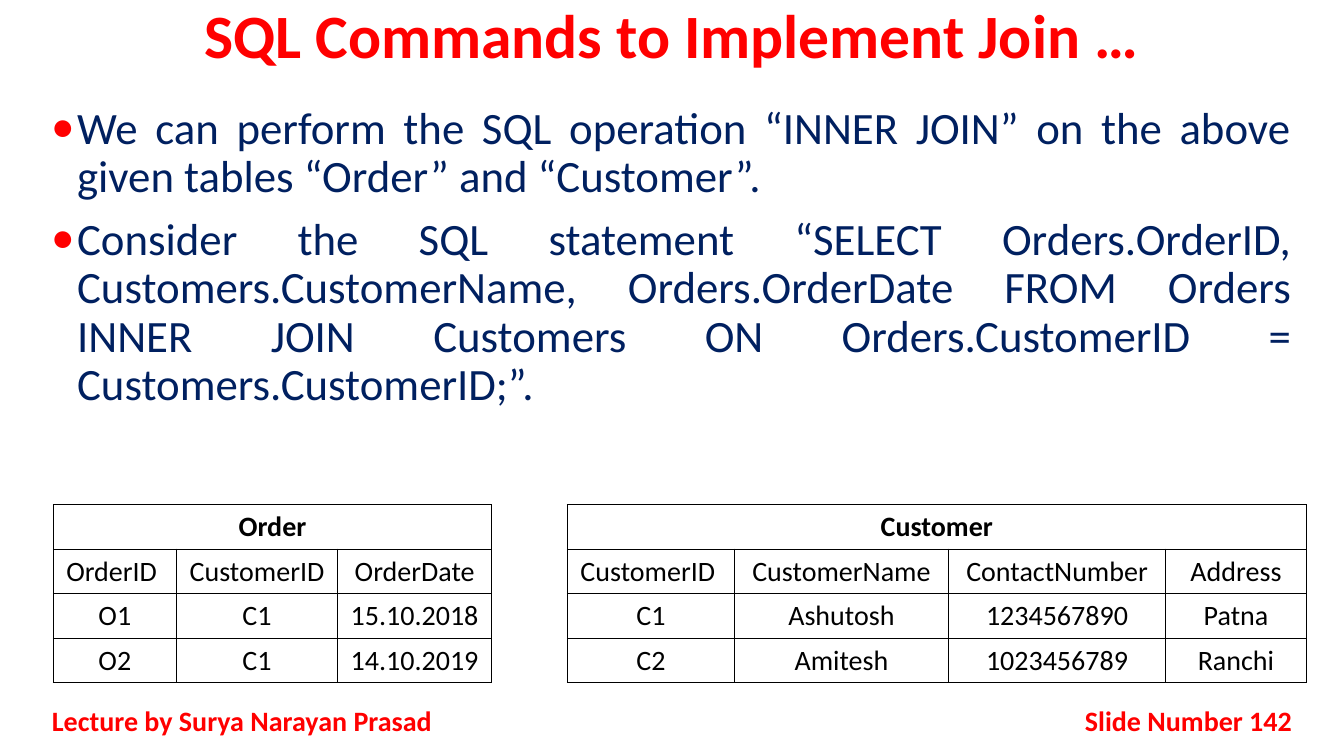
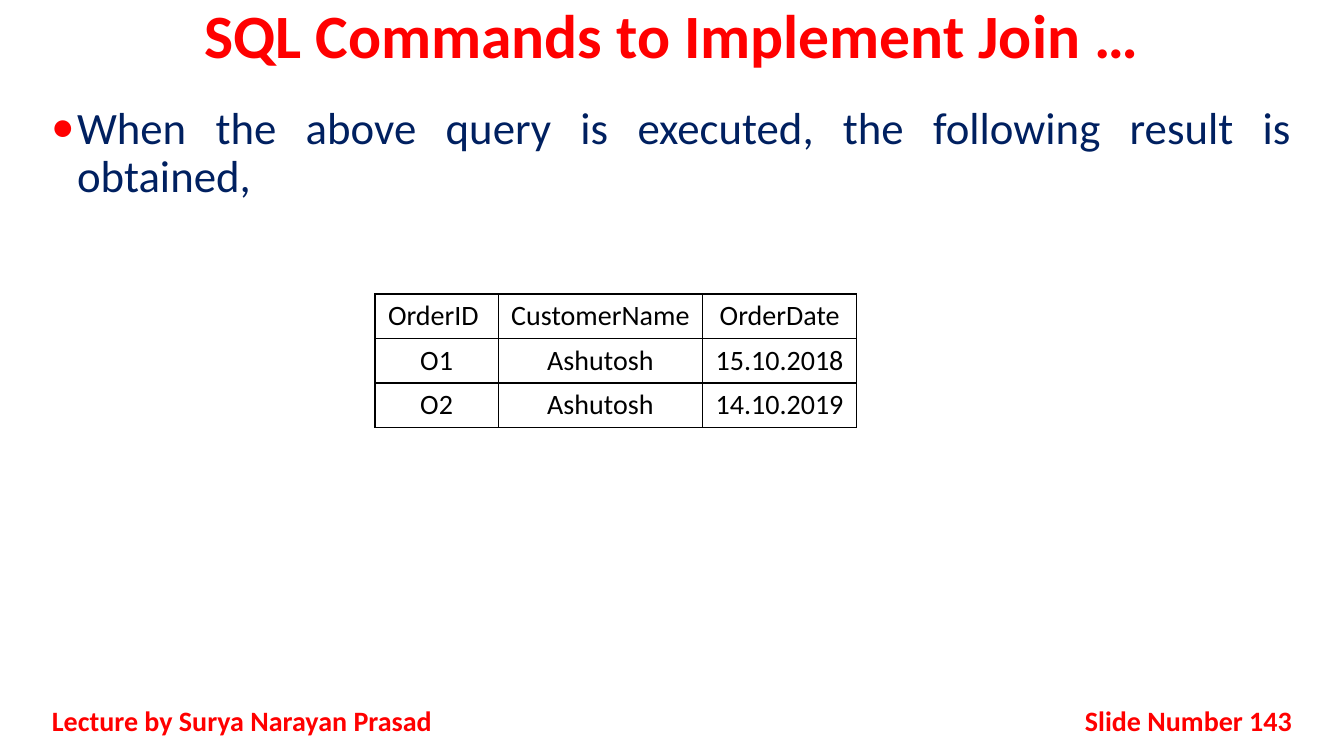
from lxml import etree
from pptx import Presentation
from pptx import util as u
from pptx.dml.color import RGBColor
from pptx.enum import text
from pptx.oxml import ns

RED = RGBColor(0xFF, 0x00, 0x00)
NAVY = RGBColor(0x00, 0x20, 0x60)
BLACK = RGBColor(0x00, 0x00, 0x00)

CENTER = text.PP_ALIGN.CENTER
RIGHT = text.PP_ALIGN.RIGHT
JUSTIFY = text.PP_ALIGN.JUSTIFY


def add_node(parent, tag, **attributes):
    node = etree.SubElement(parent, ns.qn(tag))
    for name, value in attributes.items():
        node.set(name, str(value))
    return node


class Lecture:
    FONT = "Calibri"
    TITLE = "SQL Commands to Implement Join …"
    LECTURER = "Lecture by Surya Narayan Prasad"
    COLUMNS, ROWS = 32, 18
    TABLE_ROW = 1.06
    TIGHT = 0.9

    def __init__(self, first_number):
        self.deck = Presentation()
        self.deck.slide_width = u.Inches(13.33)
        self.deck.slide_height = u.Inches(7.5)
        self.number = first_number
        self.page = None

    def across(self, columns):
        return round(self.deck.slide_width * columns / self.COLUMNS)

    def down(self, rows):
        return round(self.deck.slide_height * rows / self.ROWS)

    def start_page(self):
        self.page = self.deck.slides.add_slide(self.deck.slide_layouts[6])
        self.title()
        self.footer(1, 10, self.LECTURER, JUSTIFY)
        self.footer(24.4, 6.6, f"Slide Number {self.number}", RIGHT)
        self.number += 1

    def frame(self, left, top, width, height, anchor=text.MSO_ANCHOR.TOP):
        box = self.page.shapes.add_textbox(
            self.across(left), self.down(top), self.across(width), self.down(height))
        box.text_frame.word_wrap = True
        box.text_frame.vertical_anchor = anchor
        return box.text_frame

    def add_words(self, para, words, size, color, align, bold=False):
        para.alignment = align
        span = para.add_run()
        span.text = words
        span.font.name = self.FONT
        span.font.size = u.Pt(size)
        span.font.bold = bold
        span.font.color.rgb = color

    def title(self):
        para = self.frame(0, 0, self.COLUMNS, 2).paragraphs[0]
        para.line_spacing = self.TIGHT
        self.add_words(para, self.TITLE, 44, RED, CENTER, bold=True)

    def footer(self, left, width, words, align):
        frame = self.frame(left, 16.68, width, 0.96, text.MSO_ANCHOR.MIDDLE)
        self.add_words(frame.paragraphs[0], words, 20, RED, align, bold=True)

    def bullets(self, *points):
        frame = self.frame(1, 2.4, 30, 13.6)
        for index, words in enumerate(points):
            para = frame.add_paragraph() if index else frame.paragraphs[0]
            self.mark(para)
            para.line_spacing = self.TIGHT
            if index:
                para.space_before = u.Pt(10)
            self.add_words(para, words, 32, NAVY, JUSTIFY)

    def mark(self, para):
        properties = para._p.get_or_add_pPr()
        indent = u.Inches(0.25)
        properties.set("marL", str(indent))
        properties.set("indent", str(-indent))
        add_node(add_node(properties, "a:buClr"), "a:srgbClr", val=RED)
        add_node(properties, "a:buSzPct", val=81000)
        add_node(properties, "a:buFont", typeface=self.FONT)
        add_node(properties, "a:buChar", char="●")

    def border(self, cell):
        properties = cell._tc.get_or_add_tcPr()
        for side in ("a:lnL", "a:lnR", "a:lnT", "a:lnB"):
            line = add_node(properties, side, w=u.Pt(1))
            add_node(add_node(line, "a:solidFill"), "a:srgbClr", val=BLACK)

    def table(self, left, top, widths, records, heading=None):
        rows = ([[heading] + [""] * (len(widths) - 1)] if heading else []) + records
        table = self.page.shapes.add_table(
            len(rows), len(widths), self.across(left), self.down(top),
            self.across(sum(widths)), self.down(self.TABLE_ROW * len(rows))).table
        table.first_row = table.horz_banding = False
        for column, width in zip(table.columns, widths):
            column.width = self.across(width)
        for row in table.rows:
            row.height = self.down(self.TABLE_ROW)
        if heading:
            table.cell(0, 0).merge(table.cell(0, len(widths) - 1))
        for row_index, row in enumerate(rows):
            for column_index, words in enumerate(row):
                cell = table.cell(row_index, column_index)
                self.border(cell)
                cell.fill.background()
                if words:
                    self.add_words(cell.text_frame.paragraphs[0], words, 20, BLACK,
                                   CENTER, bold=bool(heading) and row_index == 0)


def main():
    lecture = Lecture(first_number=142)

    lecture.start_page()
    lecture.bullets(
        "We can perform the SQL operation “INNER JOIN” on the above given tables "
        "“Order” and “Customer”.",
        "Consider the SQL statement “SELECT Orders.OrderID, Customers.CustomerName, "
        "Orders.OrderDate FROM Orders INNER JOIN Customers ON Orders.CustomerID = "
        "Customers.CustomerID;”.")
    lecture.table(1.27, 12.02, [2.93, 3.84, 3.67], [
        ["OrderID ", "CustomerID", "OrderDate"],
        ["O1", "C1", "15.10.2018"],
        ["O2", "C1", "14.10.2019"],
    ], heading="Order")
    lecture.table(13.51, 12.02, [3.98, 5.09, 5.18, 3.34], [
        ["CustomerID ", "CustomerName", "ContactNumber", "Address"],
        ["C1", "Ashutosh", "1234567890", "Patna"],
        ["C2", "Amitesh", "1023456789", "Ranchi"],
    ], heading="Customer")

    lecture.start_page()
    lecture.bullets("When the above query is executed, the following result is obtained,")
    lecture.table(8.93, 7, [2.93, 4.87, 3.67], [
        ["OrderID ", "CustomerName", "OrderDate"],
        ["O1", "Ashutosh", "15.10.2018"],
        ["O2", "Ashutosh", "14.10.2019"],
    ])

    lecture.deck.save("out.pptx")


if __name__ == "__main__":
    main()
